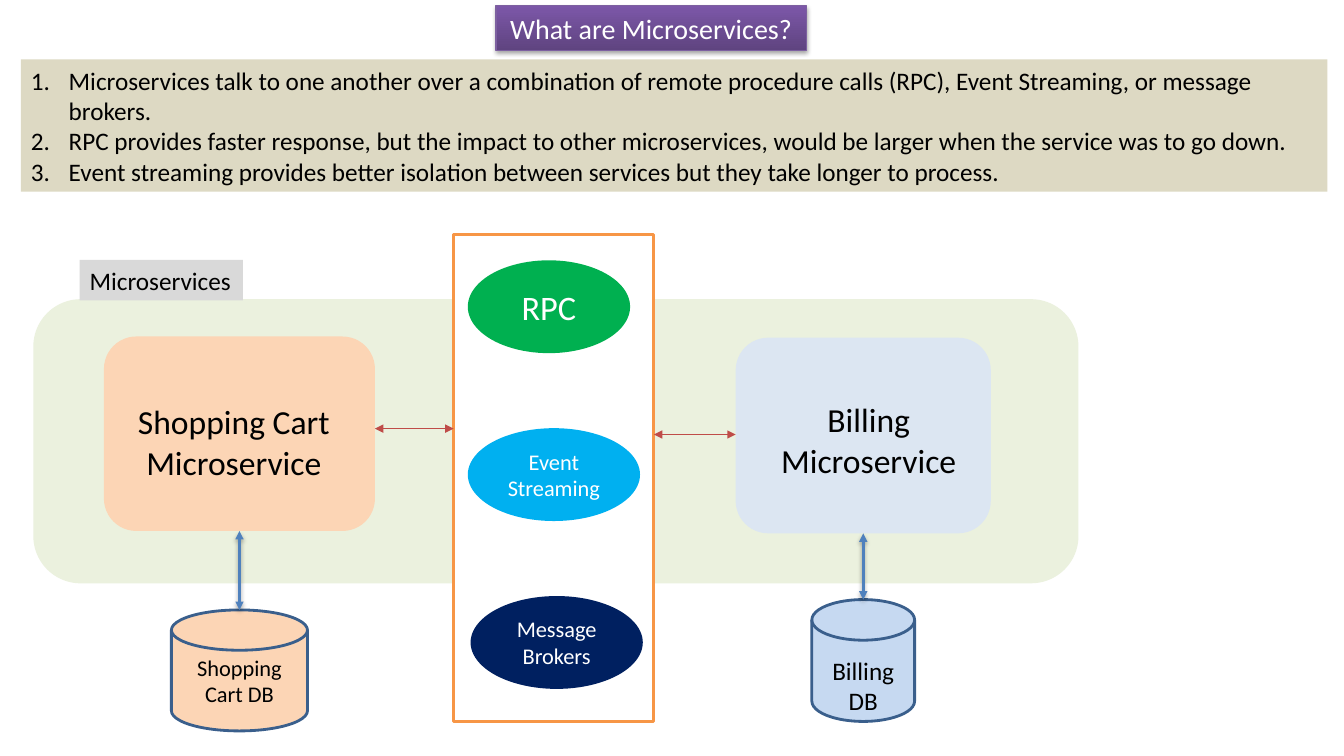
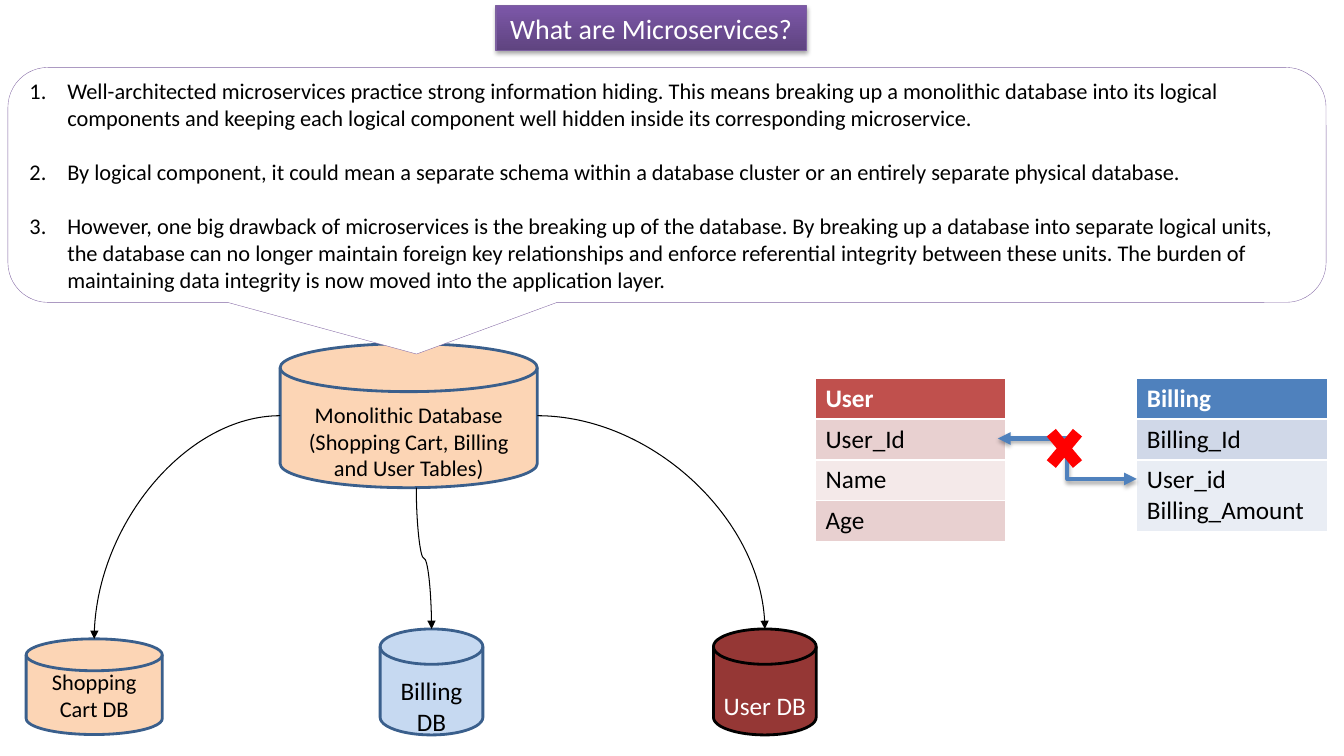
import typing

import lxml.etree
import pptx
import pptx.dml.color
import pptx.enum.shapes
import pptx.enum.text
import pptx.oxml.ns
import pptx.util

SHAPES = pptx.enum.shapes.MSO_SHAPE
CONNECTORS = pptx.enum.shapes.MSO_CONNECTOR
ALIGN = pptx.enum.text.PP_ALIGN
ANCHOR = pptx.enum.text.MSO_ANCHOR
FONT = "Calibri"
BLACK, WHITE = "000000", "FFFFFF"
PEACH, PALE_BLUE, OUTLINE = "FCD5B5", "C6D9F1", "3A5F8C"
BLUE, RED = "4F81BD", "C0504D"
TITLE = "What are Microservices?"
PADDING = (0.25, 0.13, 0.25, 0.13)
LOWERED = (0.25, 0.89, 0.25, 0.13)

TALKING_POINTS = """\
Microservices talk to one another over a combination of remote procedure calls (RPC), Event Streaming, or message brokers.
RPC provides faster response, but the impact to other microservices, would be larger when the service was to go down.
Event streaming provides better isolation between services but they take longer to process."""
DATABASE_POINTS = """\
Well-architected microservices practice strong information hiding. This means breaking up a monolithic database into its logical components and keeping each logical component well hidden inside its corresponding microservice.
By logical component, it could mean a separate schema within a database cluster or an entirely separate physical database.
However, one big drawback of microservices is the breaking up of the database. By breaking up a database into separate logical units, the database can no longer maintain foreign key relationships and enforce referential integrity between these units. The burden of maintaining data integrity is now moved into the application layer."""


class Box(typing.NamedTuple):
    """Hold a rectangle in centimetres."""

    left: float
    top: float
    width: float
    height: float

    @property
    def right(self):
        """Return the right edge."""
        return self.left + self.width

    @property
    def bottom(self):
        """Return the bottom edge."""
        return self.top + self.height

    @property
    def center(self):
        """Return the horizontal centre."""
        return self.left + self.width / 2

    @property
    def middle(self):
        """Return the vertical centre."""
        return self.top + self.height / 2

    def inside(self, left, top, width, height):
        """Return a box placed relative to this one."""
        return Box(self.left + left, self.top + top, width, height)

    def below(self, gap, width, height):
        """Return a box centred under this one."""
        return Box(self.center - width / 2, self.bottom + gap, width, height)


def color(value):
    """Turn a hex string into a colour."""
    return pptx.dml.color.RGBColor.from_string(value)


def lengths(*values):
    """Turn centimetres into slide lengths."""
    return [pptx.util.Cm(value) for value in values]


def add_xml(parent, tag, **attributes):
    """Append a drawing element with attributes."""
    element = lxml.etree.SubElement(parent, pptx.oxml.ns.qn(tag))
    for name, value in attributes.items():
        element.set(name, str(value))
    return element


def set_shadow(shape, visible):
    """Give a shape a soft shadow below it, or none."""
    properties = shape.element.spPr
    effects = properties.find(pptx.oxml.ns.qn("a:effectLst"))
    if effects is None:
        effects = add_xml(properties, "a:effectLst")
    if visible:
        shadow = add_xml(effects, "a:outerShdw", blurRad=40000, dist=23000, dir=5400000, rotWithShape=0)
        add_xml(add_xml(shadow, "a:srgbClr", val=BLACK), "a:alpha", val=35000)


def write(frame, text, size=18, font_color=BLACK, bold=False, align=ALIGN.CENTER,
          numbered=False, gap=0):
    """Write each line of text as a formatted paragraph."""
    for index, line in enumerate(text.split("\n")):
        paragraph = frame.add_paragraph() if index else frame.paragraphs[0]
        paragraph.alignment = align
        if numbered:
            properties = paragraph._p.get_or_add_pPr()
            properties.set("marL", "342900")
            properties.set("indent", "-342900")
            add_xml(properties, "a:buFont", typeface="+mj-lt")
            add_xml(properties, "a:buAutoNum", type="arabicPeriod")
        if index and gap:
            paragraph.space_before = pptx.util.Pt(gap)
        run = paragraph.add_run()
        run.text = line
        run.font.name = FONT
        run.font.size = pptx.util.Pt(size)
        run.font.bold = bold
        run.font.color.rgb = color(font_color)


def set_frame(frame, anchor=ANCHOR.MIDDLE, padding=PADDING, wrap=True):
    """Set the anchor, padding and wrapping of a text frame."""
    frame.auto_size = pptx.enum.text.MSO_AUTO_SIZE.NONE
    frame.word_wrap = wrap
    frame.vertical_anchor = anchor
    (frame.margin_left, frame.margin_top,
     frame.margin_right, frame.margin_bottom) = lengths(*padding)


def add_shape(slide, kind, box, fill, line=None, weight=2, text="", padding=PADDING,
              wrap=True, **text_format):
    """Add a flat preset shape with optional outline and text."""
    shape = slide.shapes.add_shape(kind, *lengths(*box))
    shape.shadow.inherit = False
    shape.fill.solid()
    shape.fill.fore_color.rgb = color(fill)
    if line:
        shape.line.color.rgb = color(line)
        shape.line.width = pptx.util.Pt(weight)
    else:
        shape.line.fill.background()
    if text:
        set_frame(shape.text_frame, padding=padding, wrap=wrap)
        write(shape.text_frame, text, **text_format)
    return shape


def add_arrow(slide, start, end, line, weight=0.75, kind=CONNECTORS.STRAIGHT, preset=None,
              vertical=False, both=True, shadow=False):
    """Add a connector with arrowheads, turned when it leaves vertically."""
    if vertical:
        center, middle = (start[0] + end[0]) / 2, (start[1] + end[1]) / 2
        across, down = end[0] - center, end[1] - middle
        start, end = (center + down, middle - across), (center - down, middle + across)
    connector = slide.shapes.add_connector(kind, *lengths(*start, *end))
    connector.line.color.rgb = color(line)
    connector.line.width = pptx.util.Pt(weight)
    properties = connector.element.spPr
    if vertical:
        properties.find(pptx.oxml.ns.qn("a:xfrm")).set("rot", "16200000")
    if preset:
        properties.find(pptx.oxml.ns.qn("a:prstGeom")).set("prst", preset)
    outline = properties.find(pptx.oxml.ns.qn("a:ln"))
    if both:
        add_xml(outline, "a:headEnd", type="triangle")
    add_xml(outline, "a:tailEnd", type="triangle")
    set_shadow(connector, shadow)


def add_titled_slide(presentation):
    """Add a slide with the purple title plate."""
    slide = presentation.slides.add_slide(presentation.slide_layouts[5])
    title = slide.shapes.title
    title.left, title.top, title.width, title.height = lengths(12.5, 0.15, 7.82, 1.12)
    title.fill.gradient()
    title.fill.gradient_angle = 90
    for position, (stop, value) in enumerate(zip(title.fill.gradient_stops, ("5F4480", "7C57A8"))):
        stop.color.rgb = color(value)
        stop.position = position
    title.line.color.rgb = color("7D60A0")
    title.line.width = pptx.util.Pt(0.75)
    set_shadow(title, True)
    set_frame(title.text_frame)
    write(title.text_frame, TITLE, size=20, font_color=WHITE)
    return slide


def add_database(slide, box, text, fill, line=OUTLINE, **options):
    """Add a labelled database cylinder."""
    add_shape(slide, SHAPES.FLOWCHART_MAGNETIC_DISK, box, fill, line, text=text, **options)


def add_service(slide, box, text, fill, label_padding, database_box, database, database_fill,
                **database_options):
    """Add a microservice joined to the database below it."""
    add_shape(slide, SHAPES.ROUNDED_RECTANGLE, box, fill, text=text, size=24,
              padding=label_padding)
    add_database(slide, database_box, database, database_fill, **database_options)
    add_arrow(slide, (box.center, box.bottom), (box.center, database_box.top),
              BLUE, weight=2, shadow=True)


def add_channels(slide, box):
    """Add the frame holding the three ways to communicate."""
    add_shape(slide, SHAPES.RECTANGLE, box, WHITE, "F79646")
    channels = (
        ("RPC", "00B050", 24.5, 0.36, 4.09),
        ("Event Streaming", "00B0F0", 16, 0.36, 4.34),
        ("Message Brokers", "002060", 16, 0.43, 4.34),
    )
    for index, (text, fill, size, left, width) in enumerate(channels):
        add_shape(slide, SHAPES.OVAL, box.inside(left, 0.64 + 4.23 * index, width, 2.34), fill,
                  text=text, size=size, font_color=WHITE)


def add_entity(slide, box, rows, fills):
    """Add a one-column table with a coloured header row."""
    table = slide.shapes.add_table(len(rows), 1, *lengths(*box)).table
    for index, (text, fill) in enumerate(zip(rows, fills)):
        table.rows[index].height = pptx.util.Cm(1.78 if "\n" in text else 1.02)
        cell = table.cell(index, 0)
        cell.fill.solid()
        cell.fill.fore_color.rgb = color(fill)
        write(cell.text_frame, text, font_color=BLACK if index else WHITE,
              bold=index == 0, align=ALIGN.LEFT)


def build_communication_slide(presentation):
    """Build the slide on how services talk to each other."""
    slide = add_titled_slide(presentation)
    band = Box(0.84, 7.54, 26.34, 7.16)
    cart = band.inside(1.78, 0.94, 6.83, 4.9)
    billing = band.inside(17.7, 0.97, 6.43, 4.93)
    channels = Box(11.43, 5.92, 5.05, 12.27)
    add_shape(slide, SHAPES.FLOWCHART_ALTERNATE_PROCESS, band, "EBF1DE")
    add_shape(slide, SHAPES.RECTANGLE, band.inside(1.17, -0.99, 4.11, 1.02), "D9D9D9",
              text="Microservices", wrap=False, align=ALIGN.LEFT)
    add_service(slide, cart, "Shopping Cart\nMicroservice", PEACH, (0, 0.4, 0.28, 0),
                cart.below(1.99, 3.43, 3.05), "Shopping Cart DB", PEACH, size=16)
    add_service(slide, billing, "Billing\nMicroservice", "DCE6F2", (0.28, 0.2, 0, 0),
                billing.below(1.67, 2.59, 3.07), "Billing DB", PALE_BLUE, padding=LOWERED)
    add_channels(slide, channels)
    add_arrow(slide, (cart.right, 10.8), (channels.left, 10.8), "BF4C48")
    add_arrow(slide, (channels.right, 10.95), (billing.left, 10.95), "BF4C48")
    add_shape(slide, SHAPES.RECTANGLE, Box(0.53, 1.5, 32.92, 3.33), "DDD9C3",
              text=TALKING_POINTS, align=ALIGN.LEFT, numbered=True)


def add_split(slide, monolith):
    """Add the monolithic database split into three databases."""
    cart = monolith.inside(-6.4, 7.44, 3.43, 2.41)
    billing = monolith.inside(2.52, 7.19, 2.59, 2.67)
    user = monolith.inside(10.92, 7.19, 2.59, 2.67)
    add_database(slide, monolith, "Monolithic Database\n(Shopping Cart, Billing and User Tables)",
                 PEACH, size=16, padding=(0.25, 0.81, 0.25, 0.13))
    add_database(slide, cart, "Shopping Cart DB", PEACH, size=16)
    add_database(slide, billing, "Billing DB", PALE_BLUE, padding=LOWERED)
    add_database(slide, user, "User DB", "953735", BLACK, font_color=WHITE,
                 padding=(0.2, 0.89, 0.2, 0.13))
    for edge, target in ((monolith.left, cart), (monolith.right, user)):
        add_arrow(slide, (edge, monolith.middle), (target.center, target.top), BLACK,
                  kind=CONNECTORS.CURVE, preset="curvedConnector2", both=False)
    add_arrow(slide, (monolith.center + 0.19, monolith.bottom), (billing.center, billing.top),
              BLACK, kind=CONNECTORS.CURVE, vertical=True, both=False)


def add_broken_relation(slide, box):
    """Add two tables whose foreign key link is crossed out."""
    add_entity(slide, box.inside(0, 0, 4.8, 4.08), ("User", "User_Id", "Name", "Age"),
               (RED, "E8D0D0", "F4E9E9", "E8D0D0"))
    add_entity(slide, box.inside(8.1, 0, 4.8, 3.82),
               ("Billing", "Billing_Id", "User_id\nBilling_Amount"), (BLUE, "D0D8E8", "E9EDF4"))
    add_arrow(slide, (box.left + 4.6, box.top + 1.52), (box.left + 8.1, box.top + 2.54), BLUE,
              weight=3, kind=CONNECTORS.ELBOW, shadow=True)
    add_shape(slide, SHAPES.MATH_MULTIPLY, box.inside(5.64, 1.01, 1.27, 1.52), "FF0000")


def build_database_slide(presentation):
    """Build the slide on breaking up the database."""
    slide = add_titled_slide(presentation)
    add_split(slide, Box(7.06, 8.66, 6.48, 3.63))
    callout = add_shape(slide, SHAPES.ROUNDED_RECTANGULAR_CALLOUT, Box(0.2, 1.7, 33.22, 5.92),
                        WHITE, "8064A2", 0.25, DATABASE_POINTS, padding=(0.25, 0.13, 0.5, 0.13),
                        size=16, align=ALIGN.LEFT, numbered=True, gap=19.5)
    for index, value in enumerate((-0.19, 0.72, 0.17)):
        callout.adjustments[index] = value
    add_broken_relation(slide, Box(20.55, 9.53, 12.9, 4.08))


def main():
    """Build and save the presentation."""
    presentation = pptx.Presentation()
    presentation.slide_width, presentation.slide_height = lengths(33.87, 19.05)
    build_communication_slide(presentation)
    build_database_slide(presentation)
    presentation.save("out.pptx")


if __name__ == "__main__":
    main()
